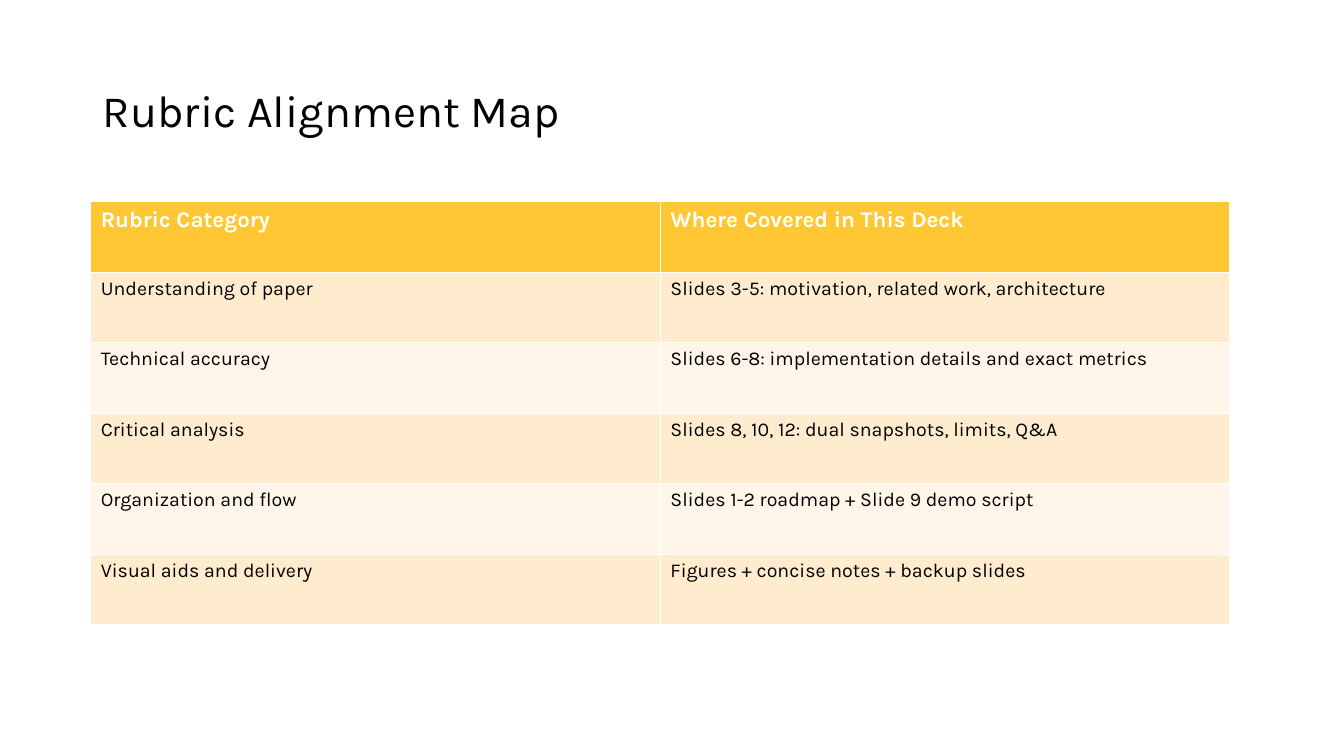
import pptx
import pptx.dml.color
import pptx.enum.text
import pptx.util

Inches = pptx.util.Inches

TITLE = "Rubric Alignment Map"
ROWS = [
    ("Rubric Category", "Where Covered in This Deck"),
    ("Understanding of paper", "Slides 3-5: motivation, related work, architecture"),
    ("Technical accuracy", "Slides 6-8: implementation details and exact metrics"),
    ("Critical analysis", "Slides 8, 10, 12: dual snapshots, limits, Q&A"),
    ("Organization and flow", "Slides 1-2 roadmap + Slide 9 demo script"),
    ("Visual aids and delivery", "Figures + concise notes + backup slides"),
]
HEADER_FILL = "FFC733"
BAND_FILLS = ("FFF5E8", "FFEBCE")  # even rows, odd rows
TITLE_FORMAT = {"name": "Karla", "size": pptx.util.Pt(32), "bold": False}
HEADER_FORMAT = {"name": "Karla", "size": pptx.util.Pt(16), "bold": True}
BODY_FORMAT = {"name": "Karla", "size": pptx.util.Pt(14), "bold": False}


def paint(color_format, color):
    color_format.rgb = pptx.dml.color.RGBColor.from_string(color)


def write(frame, text, font_format, color):
    para = frame.paragraphs[0]
    span = para.add_run()
    span.text = text
    for name, value in font_format.items():
        setattr(span.font, name, value)
    paint(span.font.color, color)
    return para


def add_title(page):
    title = page.shapes.title
    title.left, title.top = Inches(0.92), Inches(0.4)
    title.width, title.height = Inches(11.5), Inches(1.45)
    title.text_frame.vertical_anchor = pptx.enum.text.MSO_ANCHOR.MIDDLE
    para = write(title.text_frame, TITLE, TITLE_FORMAT, "000000")
    para.alignment = pptx.enum.text.PP_ALIGN.LEFT
    para.line_spacing = 0.9


def add_rubric_table(page):
    table = page.shapes.add_table(
        len(ROWS), len(ROWS[0]), Inches(0.9), Inches(2), Inches(11.3), Inches(4.2)
    ).table
    for row_index, texts in enumerate(ROWS):
        is_header = row_index == 0
        fill = HEADER_FILL if is_header else BAND_FILLS[row_index % 2]
        font_format = HEADER_FORMAT if is_header else BODY_FORMAT
        for column_index, text in enumerate(texts):
            cell = table.cell(row_index, column_index)
            cell.fill.solid()
            paint(cell.fill.fore_color, fill)
            write(cell.text_frame, text, font_format, "FFFFFF" if is_header else "000000")


def main():
    deck = pptx.Presentation()
    deck.slide_width, deck.slide_height = Inches(13.33), Inches(7.5)
    page = deck.slides.add_slide(deck.slide_layouts[5])
    add_title(page)
    add_rubric_table(page)
    deck.save("out.pptx")


if __name__ == "__main__":
    main()
